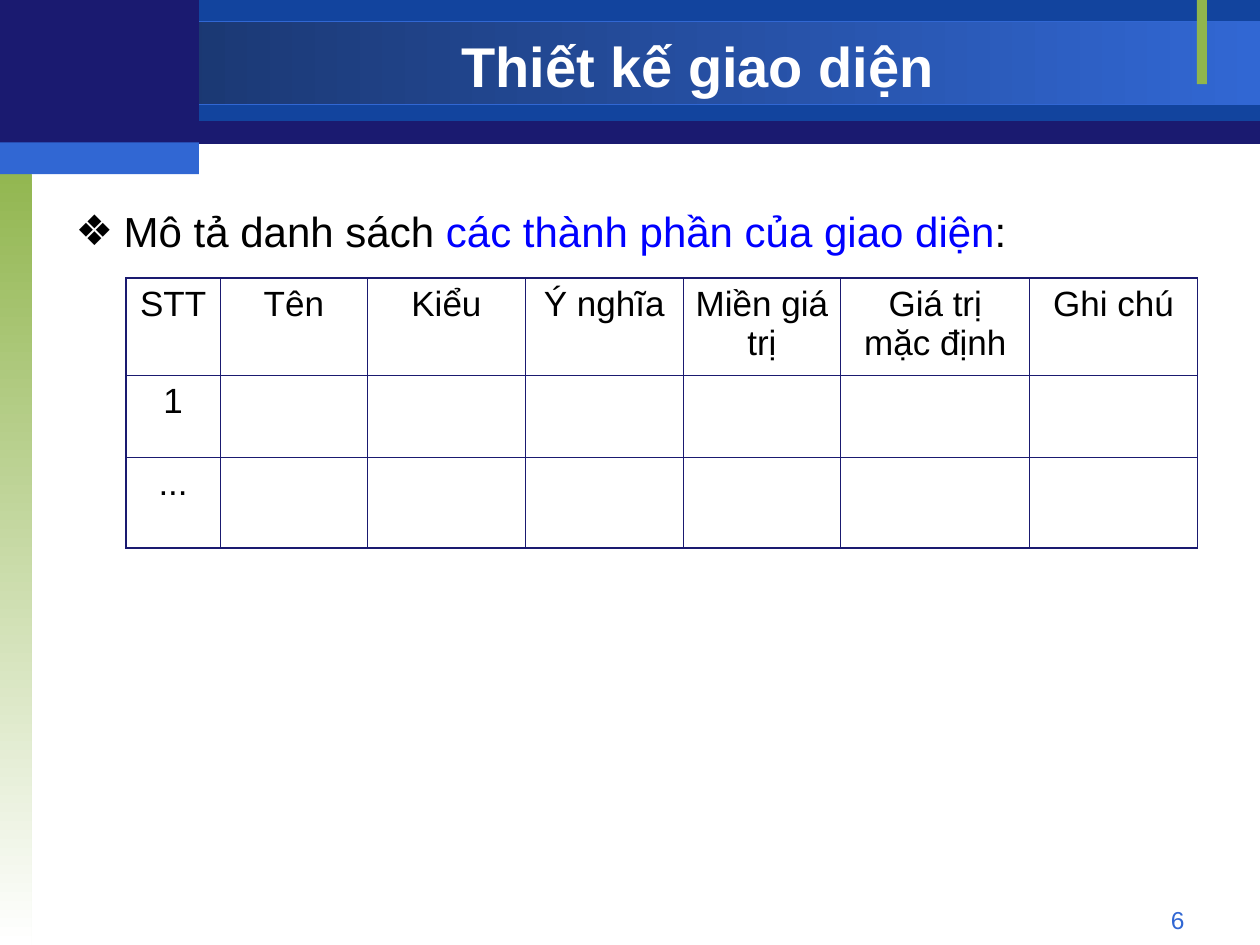
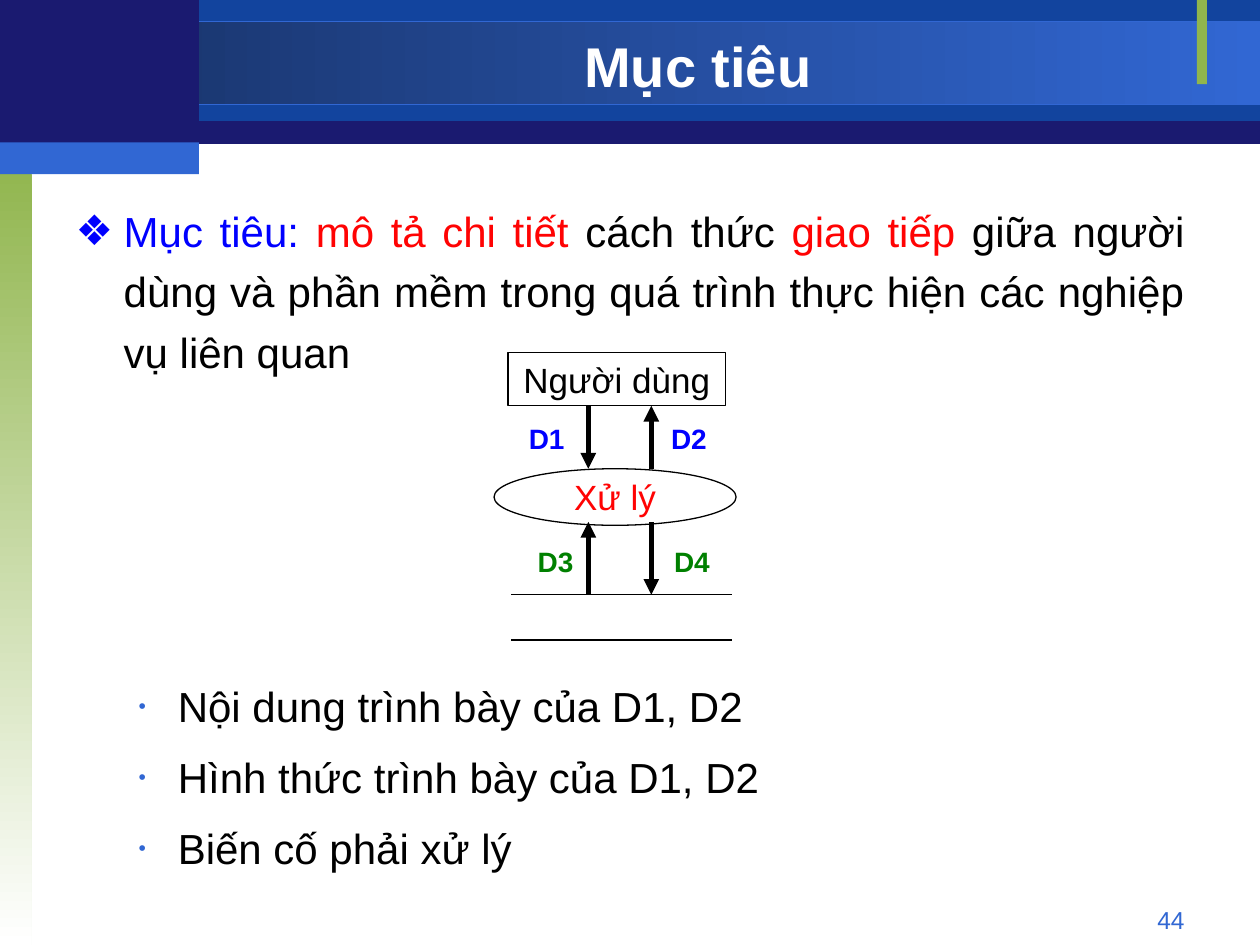
import lxml.etree
import pptx
import pptx.dml.color
import pptx.enum.shapes
import pptx.enum.text
import pptx.oxml.ns
import pptx.util

Cm = pptx.util.Cm
Pt = pptx.util.Pt
Align = pptx.enum.text.PP_ALIGN
Kind = pptx.enum.shapes.MSO_SHAPE
Middle = pptx.enum.text.MSO_ANCHOR.MIDDLE

NAVY, BLUE, SKY, DUSK = "1A1A70", "12449E", "3167D3", "173062"
LIME, WHITE, BLACK = "90B54D", "FFFFFF", "000000"
LINK, RED, GREEN = "0000FF", "FF0303", "008000"
FACE = "Arial"


def hue(code):
    return pptx.dml.color.RGBColor.from_string(code)


def add(parent, tag, **attrs):
    return lxml.etree.SubElement(parent, pptx.oxml.ns.qn(tag), attrs)


deck = pptx.Presentation()
deck.slide_width, deck.slide_height = Cm(25.4), Cm(19.05)
layout = deck.slide_layouts[1]

# Title, page number, body width, body alignment, and body items:
# (level, space before, bullet colour, runs)
pages = [
    ("Thiết kế giao diện", "6", 22.66, Align.LEFT, [
        (0, 0, BLACK, [("Mô tả danh sách ", BLACK),
                       ("các thành phần của giao diện", LINK),
                       (":", BLACK)]),
    ]),
    ("Mục tiêu", "44", 22.86, Align.JUSTIFY, [
        (0, 0, LINK, [("Mục tiêu: ", LINK),
                      ("mô tả chi tiết", RED),
                      (" cách thức ", BLACK),
                      ("giao tiếp", RED),
                      (" giữa người dùng và phần mềm trong quá trình "
                       "thực hiện các nghiệp vụ liên quan", BLACK)]),
        (1, 168, SKY, [("Nội dung trình bày của D1, D2", BLACK)]),
        (1, 6, SKY, [("Hình thức trình bày của D1, D2", BLACK)]),
        (1, 6, SKY, [("Biến cố phải xử lý", BLACK)]),
    ]),
]
# Bullet sign, its size, left margin and hanging indent per level
marks = [("❖", "100000", 0.97, -0.97), ("•", "50000", 2.06, -0.79)]

slides = []
for head, num, width, align, items in pages:
    slide = deck.slides.add_slide(layout)
    slides.append(slide)

    # Title
    title = slide.shapes.title
    title.left, title.top = Cm(4.01), Cm(0.58)
    title.width, title.height = Cm(20.12), Cm(1.47)
    title.text_frame.text = head
    title.text_frame.vertical_anchor = Middle
    title.text_frame.auto_size = pptx.enum.text.MSO_AUTO_SIZE.NONE
    para = title.text_frame.paragraphs[0]
    para.alignment = Align.CENTER
    para.font.name, para.font.size, para.font.bold = FACE, Pt(32), True
    para.font.color.rgb = hue(WHITE)

    # Body list
    body = slide.placeholders[1]
    body.left, body.top = Cm(1.27), Cm(3.81)
    body.width, body.height = Cm(width), Cm(13.97)
    frame = body.text_frame
    frame.auto_size = pptx.enum.text.MSO_AUTO_SIZE.NONE
    for i, (level, gap, tint, runs) in enumerate(items):
        para = frame.add_paragraph() if i else frame.paragraphs[0]
        para.level, para.alignment = level, align
        para.line_spacing, para.space_before = 1.2, Pt(gap)
        sign, size, left, hang = marks[level]
        props = para._p.get_or_add_pPr()
        props.set("marL", str(Cm(left)))
        props.set("indent", str(Cm(hang)))
        add(add(props, "a:buClr"), "a:srgbClr", val=tint)
        add(props, "a:buSzPct", val=size)
        add(props, "a:buFont", typeface=FACE)
        add(props, "a:buChar", char=sign)
        para.font.name, para.font.size = FACE, Pt(24)
        for text, shade in runs:
            run = para.add_run()
            run.text = text
            run.font.color.rgb = hue(shade)

    # Page number
    box = slide.shapes.add_textbox(Cm(18.21), Cm(18.11), Cm(5.92), Cm(0.69))
    box.text_frame.word_wrap = True
    para = box.text_frame.paragraphs[0]
    para.text, para.alignment = num, Align.RIGHT
    para.font.name, para.font.size = FACE, Pt(14)
    para.font.color.rgb = hue(SKY)

# Bands, kept in the layout: place, fill colours, gradient angle, line
bands = [
    ((0, 0.03, 25.4, 2.87), [NAVY], 0, None),
    ((4.01, 0, 21.39, 2.44), [BLUE], 0, None),
    ((0, 0.43, 25.4, 1.68), [DUSK, SKY], 0, SKY),
    ((0, 3.18, 0.64, 15.87), [LIME, WHITE], 270, None),
    ((24.13, 0, 0.2, 1.7), [LIME], 0, None),
    ((0, 0, 4.01, 2.97), [NAVY], 0, None),
    ((0, 2.87, 4.01, 0.64), [SKY], 0, None),
]
for i, (place, tints, angle, edge) in enumerate(bands):
    band = slides[0].shapes.add_shape(Kind.RECTANGLE, *map(Cm, place))
    band.shadow.inherit = False
    if len(tints) == 1:
        band.fill.solid()
        band.fill.fore_color.rgb = hue(tints[0])
    else:
        band.fill.gradient()
        band.fill.gradient_angle = angle
        for stop, tint in zip(band.fill.gradient_stops, tints):
            stop.color.rgb = hue(tint)
    if edge:
        band.line.color.rgb, band.line.width = hue(edge), Pt(0.75)
    else:
        band.line.fill.background()
    band.element.xpath(".//p:cNvPr")[0].set("id", str(20 + i))
    layout.shapes.element.insert(2 + i, band.element)

# Table of interface parts
heads = ["STT", "Tên", "Kiểu", "Ý nghĩa", "Miền giá trị",
         "Giá trị mặc định", "Ghi chú"]
cols = [1.9, 2.97, 3.18, 3.18, 3.18, 3.81, 3.38]
rows = [1.96, 1.65, 1.83]
cells = [heads, ["1"], ["..."]]
table = slides[0].shapes.add_table(len(rows), len(cols), Cm(2.54), Cm(5.61),
                                   Cm(21.6), Cm(5.44)).table
table.first_row = table.horz_banding = False
for c, width in enumerate(cols):
    table.columns[c].width = Cm(width)
for r, height in enumerate(rows):
    table.rows[r].height = Cm(height)
    for c in range(len(cols)):
        cell = table.cell(r, c)
        outer = {"L": c == 0, "R": c == len(cols) - 1,
                 "T": r == 0, "B": r == len(rows) - 1}
        props = cell._tc.get_or_add_tcPr()
        for side, thick in outer.items():
            line = add(props, "a:ln" + side, w=str(Pt(1.08 if thick else 0.45)))
            add(add(line, "a:solidFill"), "a:srgbClr", val=NAVY)
        cell.fill.background()
        if c < len(cells[r]):
            para = cell.text_frame.paragraphs[0]
            para.text, para.alignment = cells[r][c], Align.CENTER
            para.font.name, para.font.size = FACE, Pt(20)
            para.font.color.rgb = hue(BLACK)

# Data flow diagram: lines and arrows
flow = slides[1].shapes.add_group_shape().shapes
lines = [
    (10.31, 11.99, 14.76, 11.99, False),
    (10.31, 12.9, 14.76, 12.9, False),
    (11.86, 8.18, 11.86, 9.45, True),
    (13.13, 9.45, 13.13, 8.18, True),
    (11.86, 11.97, 11.86, 10.52, True),
    (13.13, 10.52, 13.13, 11.99, True),
]
for *ends, arrow in lines:
    line = flow.add_connector(pptx.enum.shapes.MSO_CONNECTOR.STRAIGHT,
                              *map(Cm, ends))
    line.line.color.rgb = hue(BLACK)
    line.line.width = Pt(3 if arrow else 0.75)
    if arrow:
        add(line.line._get_or_add_ln(), "a:tailEnd", type="triangle")
    add(line.element.spPr, "a:effectLst")

# Data flow diagram: user and process
nodes = [
    (Kind.RECTANGLE, (10.24, 7.11, 4.39, 1.07), "Người dùng", BLACK),
    (Kind.OVAL, (9.96, 9.45, 4.88, 1.14), "Xử lý", RED),
]
for kind, place, text, tint in nodes:
    node = flow.add_shape(kind, *map(Cm, place))
    node.shadow.inherit = False
    node.fill.background()
    node.line.color.rgb, node.line.width = hue(BLACK), Pt(0.75)
    node.text_frame.word_wrap = False
    node.text_frame.vertical_anchor = Middle
    para = node.text_frame.paragraphs[0]
    para.text, para.alignment = text, Align.CENTER
    para.font.name, para.font.size = FACE, Pt(20)
    para.font.color.rgb = hue(tint)

# Data flow diagram: labels
labels = [("D1", 10.41, 8.38, LINK), ("D2", 13.28, 8.38, LINK),
          ("D3", 10.59, 10.85, GREEN), ("D4", 13.34, 10.85, GREEN)]
for text, left, top, tint in labels:
    box = flow.add_textbox(Cm(left), Cm(top), Cm(1.22), Cm(0.94))
    box.text_frame.word_wrap = False
    para = box.text_frame.paragraphs[0]
    para.text = text
    para.font.name, para.font.size, para.font.bold = FACE, Pt(16), True
    para.font.color.rgb = hue(tint)

deck.save("out.pptx")
